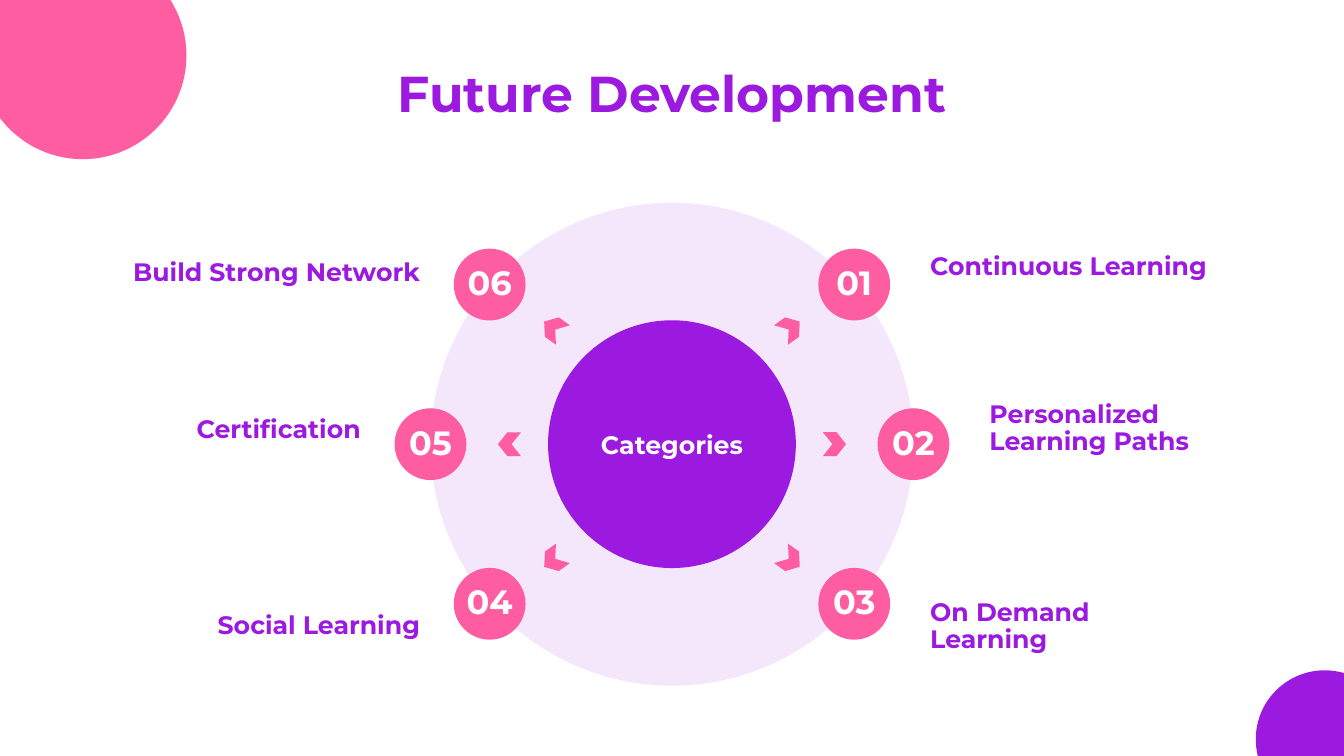
import math
from lxml import etree
from pptx import Presentation, util as u
from pptx.dml.color import RGBColor
from pptx.enum import shapes, text
from pptx.oxml.ns import qn

deck = Presentation()
unit = u.Inches(1) / 12
wide, high = 160, 90
deck.slide_width, deck.slide_height = round(wide * unit), round(high * unit)
slide = deck.slides.add_slide(deck.slide_layouts[6])
kind, side, edge = shapes.MSO_SHAPE, text.PP_ALIGN, text.MSO_ANCHOR
violet, pink, white = "9C19E0", "FF5DA2", "FFFFFF"


def paint(shape, tint):
    shape.shadow.inherit = False
    shape.fill.solid()
    shape.fill.fore_color.rgb = RGBColor.from_string(tint)
    shape.line.fill.background()


def write(shape, words, size, tint, align, anchor, wrap):
    frame = shape.text_frame
    frame.text = words
    frame.word_wrap = wrap
    frame.vertical_anchor = anchor
    frame.margin_left = frame.margin_right = frame.margin_top = frame.margin_bottom = 0
    for para in frame.paragraphs:
        para.alignment = align
        para.line_spacing = 0.9
        font = para.runs[0].font
        font.name, font.size, font.bold = "Montserrat", u.Pt(size), True
        font.color.rgb = RGBColor.from_string(tint)


midx, midy = 80, 52.88
discs = []
for size in (57.5, 29.5):
    box = [round(n * unit) for n in (midx - size / 2, midy - size / 2, size, size)]
    disc = slide.shapes.add_shape(kind.OVAL, *box)
    paint(disc, violet)
    discs.append(disc)
ring, hub = discs
tone = ring.fill._xPr.find(".//" + qn("a:srgbClr"))
etree.SubElement(tone, qn("a:alpha")).set("val", "10000")
write(hub, "Categories", 18, white, side.CENTER, edge.MIDDLE, False)
hub.text_frame.margin_top = u.Inches(0.04)

title = slide.shapes.add_textbox(*[round(n * unit) for n in (38, 6.7, 84, 8)])
write(title, "Future Development", 36, violet, side.CENTER, edge.BOTTOM, True)

topics = [
    ("01", "Continuous Learning", 1, -1, 33.5),
    ("02", "Personalized\nLearning Paths", 1, 0, 54.25),
    ("03", "On Demand\nLearning", 1, 1, 77.83),
    ("04", "Social Learning", -1, 1, 76.2),
    ("05", "Certification", -1, 0, 52.8),
    ("06", "Build Strong Network", -1, -1, 34.1),
]
dot, tipw, tiph = 8.55, 2.75, 2.85
labw, labh = 36, 8.5
for num, words, way, row, base in topics:
    reach, step = (21.7, 14.1) if row else (28.75, 19.35)

    x, y = midx + way * reach, midy + row * 19
    box = [round(n * unit) for n in (x - dot / 2, y - dot / 2, dot, dot)]
    badge = slide.shapes.add_shape(kind.OVAL, *box)
    paint(badge, pink)
    write(badge, num, 24, white, side.CENTER, edge.MIDDLE, False)

    x, y = midx + way * step, midy + row * 13.8
    box = [round(n * unit) for n in (x - tipw / 2, y - tiph / 2, tipw, tiph)]
    tip = slide.shapes.add_shape(kind.CHEVRON, *box)
    tip.adjustments[0] = 0.41
    tip.rotation = (row * 35.7 if way > 0 else 180 - row * 35.7) % 360
    paint(tip, pink)

    left = midx + reach + 9.05 if way > 0 else midx - reach - 8.3 - labw
    box = [round(n * unit) for n in (left, base - labh, labw, labh)]
    label = slide.shapes.add_textbox(*box)
    align = side.LEFT if way > 0 else side.RIGHT
    write(label, words, 18, violet, align, edge.BOTTOM, True)

corners = [
    (wide, high, 157.7, 88, 8.2, (165.9, 180, 270, 286.3), violet),
    (0, 0, 9.85, 6.6, 12.35, (-32.3, 0, 90, 142.9), pink),
]
for endx, endy, cx, cy, rad, stops, tint in corners:
    rim = []
    for deg in stops:
        ang = math.radians(deg)
        x, y = cx + rad * math.cos(ang), cy + rad * math.sin(ang)
        rim.append((round(x * unit), round(y * unit)))
    pen = slide.shapes.build_freeform(round(endx * unit), round(endy * unit))
    pen.add_line_segments(rim, close=True)
    blob = pen.convert_to_shape()
    paint(blob, tint)
    lines = list(blob._element.iter(qn("a:lnTo")))
    for line, start, stop in zip(lines[1:], stops, stops[1:]):
        arc = etree.Element(qn("a:arcTo"))
        arc.set("wR", str(round(rad * unit)))
        arc.set("hR", str(round(rad * unit)))
        arc.set("stAng", str(round(start % 360 * 60000)))
        arc.set("swAng", str(round((stop - start) * 60000)))
        line.getparent().replace(line, arc)

deck.save("out.pptx")
